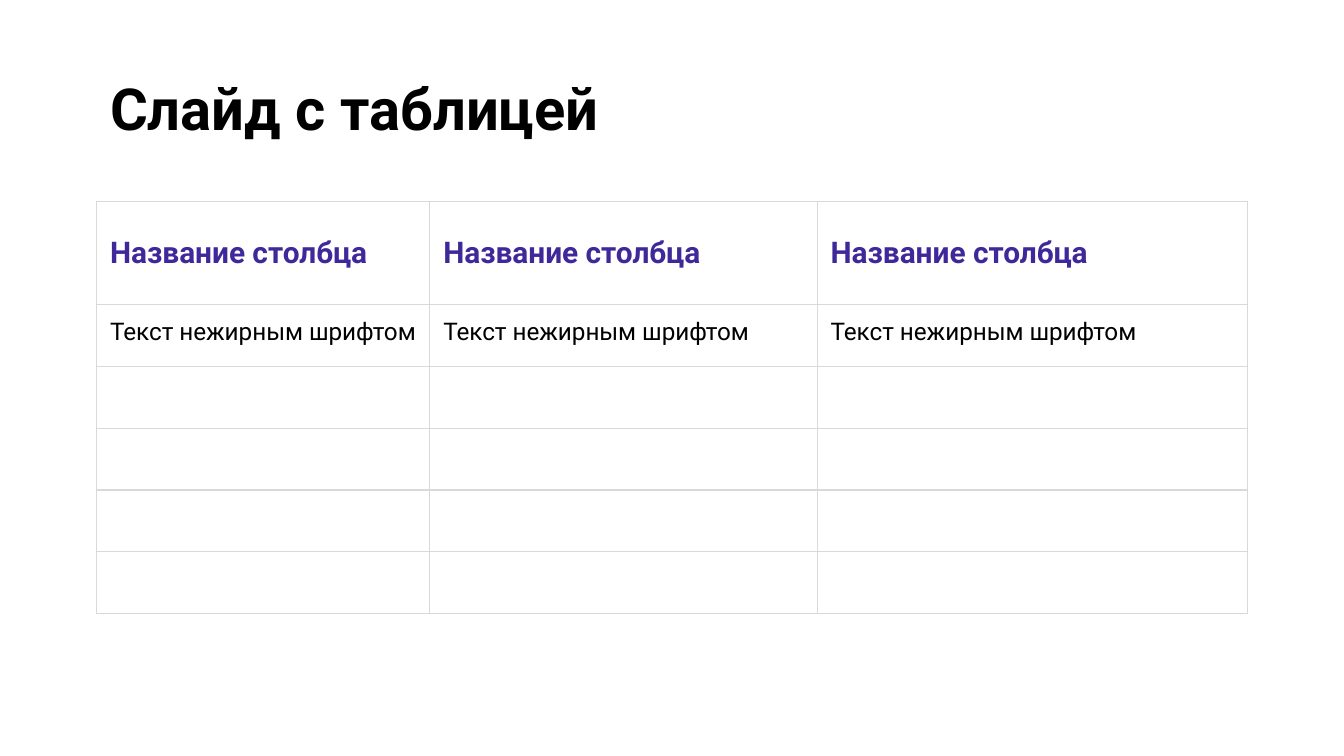
"""Build a slide with a title and a three-column table."""
from lxml.etree import SubElement
from pptx import Presentation
from pptx.dml.color import RGBColor
from pptx.enum.text import MSO_ANCHOR, PP_ALIGN
from pptx.oxml.ns import qn
from pptx.util import Pt

COLORS = {"text": "000000", "heading": "3F299A", "border": "D9D9D9", "paper": "FFFFFF"}
COLUMN_WIDTHS = [178.5, 207.5, 230.5]
ROW_HEIGHTS = [55.5] + [33.1] * 5
INSET = Pt(7.2)


def format_text(paragraph, size, color, bold):
    paragraph.alignment = PP_ALIGN.LEFT
    for span in paragraph.runs:
        span.font.name = "Roboto"
        span.font.size = Pt(size)
        span.font.bold = bold
        span.font.color.rgb = RGBColor.from_string(COLORS[color])


def add_borders(cell):
    properties = cell._tc.get_or_add_tcPr()
    for side in ("a:lnL", "a:lnR", "a:lnT", "a:lnB"):
        line = SubElement(properties, qn(side), w=str(Pt(0.75)))
        fill = SubElement(line, qn("a:solidFill"))
        SubElement(fill, qn("a:srgbClr"), val=COLORS["border"])


deck = Presentation()
deck.slide_width, deck.slide_height = Pt(720), Pt(405)
page = deck.slides.add_slide(deck.slide_layouts[5])
page.background.fill.solid()
page.background.fill.fore_color.rgb = RGBColor.from_string(COLORS["paper"])

title = page.shapes.title
title.left, title.top, title.width, title.height = Pt(51.8), Pt(31.7), Pt(671), Pt(86.4)
frame = title.text_frame
frame.text = "Слайд с таблицей"
frame.word_wrap = True
frame.vertical_anchor = MSO_ANCHOR.TOP
frame.margin_left = frame.margin_right = frame.margin_top = frame.margin_bottom = INSET
format_text(frame.paragraphs[0], 31, "text", True)

table = page.shapes.add_table(
    len(ROW_HEIGHTS), len(COLUMN_WIDTHS), Pt(51.8), Pt(107.8),
    Pt(sum(COLUMN_WIDTHS)), Pt(sum(ROW_HEIGHTS))).table
table.first_row = table.horz_banding = False
for column, width in zip(table.columns, COLUMN_WIDTHS):
    column.width = Pt(width)

for row_number, (row, height) in enumerate(zip(table.rows, ROW_HEIGHTS)):
    row.height = Pt(height)
    for cell in row.cells:
        add_borders(cell)
        if row_number == 0:
            cell.fill.solid()
            cell.fill.fore_color.rgb = RGBColor.from_string(COLORS["paper"])
            cell.vertical_anchor = MSO_ANCHOR.MIDDLE
            cell.text_frame.text = "Название столбца"
            format_text(cell.text_frame.paragraphs[0], 16, "heading", True)
        else:
            cell.fill.background()
        if row_number == 1:
            cell.text_frame.text = "Текст нежирным шрифтом"
            format_text(cell.text_frame.paragraphs[0], 13, "text", False)
        if row_number < 2:
            cell.margin_left = cell.margin_right = INSET
            cell.margin_top = cell.margin_bottom = INSET

deck.save("out.pptx")
